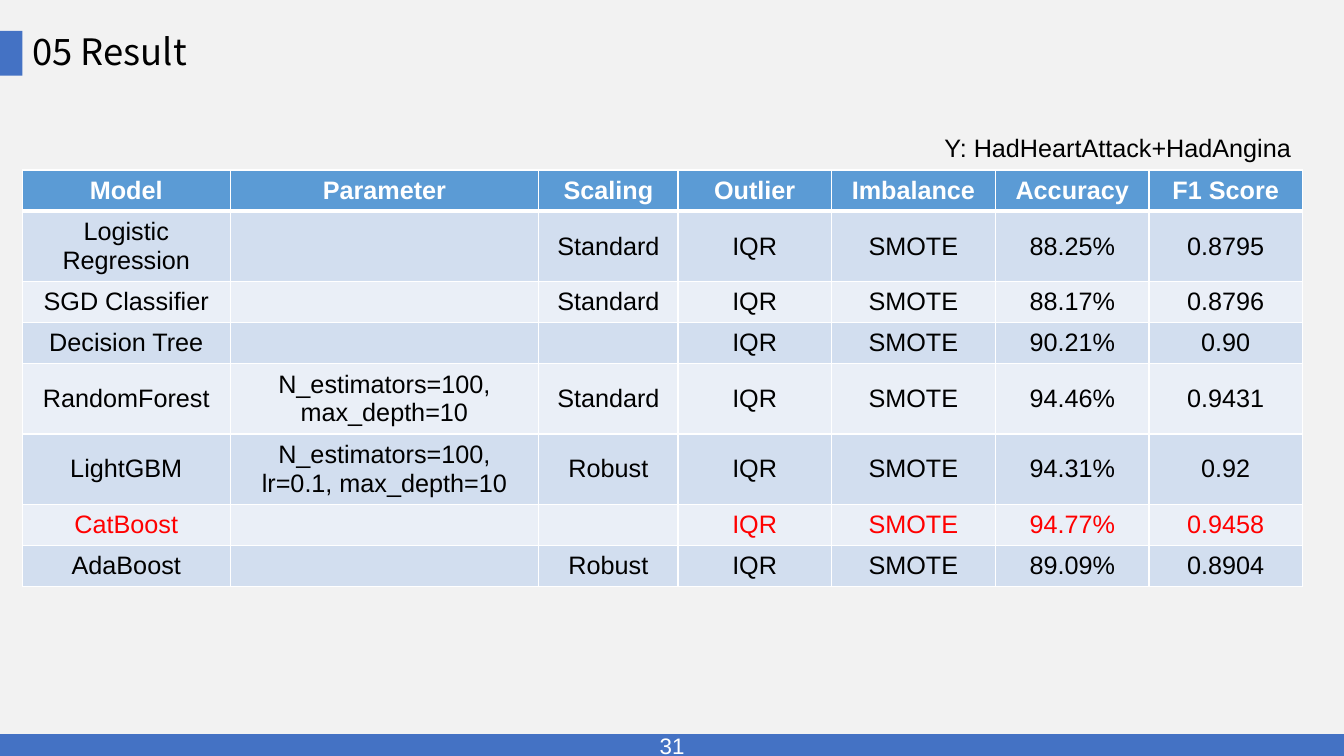
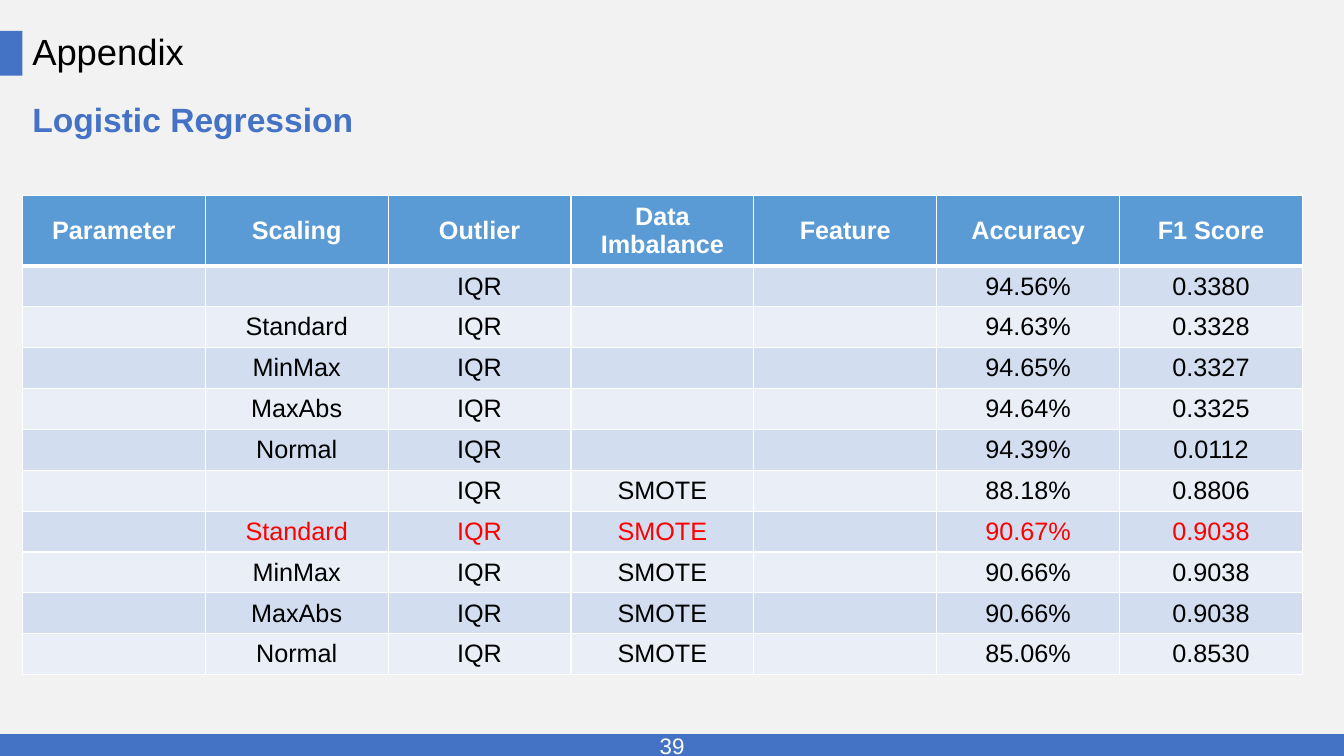
from dataclasses import dataclass

from lxml import etree
from pptx import Presentation
from pptx.dml.color import RGBColor
from pptx.enum import shapes, text
from pptx.oxml import ns
from pptx.util import Pt


@dataclass(frozen=True)
class Theme:
    page: str = "F2F2F2"
    accent: str = "4472C4"
    header: str = "5B9BD5"
    bands: tuple[str, str] = ("D2DEEF", "EAEFF7")
    white: str = "FFFFFF"
    black: str = "000000"
    highlight: str = "FF0000"
    font: str = "Arial"
    title_size: float = 26
    subtitle_size: float = 24
    body_size: float = 18
    footer_size: float = 16


@dataclass(frozen=True)
class Box:
    left: float
    top: float
    width: float
    height: float


@dataclass(frozen=True)
class Style:
    size: float
    color: str
    bold: bool = False
    font: str = "Arial"
    align: text.PP_ALIGN = text.PP_ALIGN.LEFT


@dataclass(frozen=True)
class ResultTable:
    top: float
    columns: tuple[float, ...]
    rows: tuple[tuple[str, ...], ...]
    best_row: int
    tall_rows: dict[int, float]


T = Theme()
SLIDE_W, SLIDE_H = 960, 540
MARGIN, CONTENT_W = 16, 914.4
ROW_H = 29.2
CENTER = text.PP_ALIGN.CENTER

MODEL_RESULTS = ResultTable(
    top=121.5,
    columns=(148.4, 220.4, 99.6, 109.4, 117.4, 109.6, 109.6),
    rows=(
        ("Model", "Parameter", "Scaling", "Outlier", "Imbalance", "Accuracy", "F1 Score"),
        ("Logistic Regression", "", "Standard", "IQR", "SMOTE", "88.25%", "0.8795"),
        ("SGD Classifier", "", "Standard", "IQR", "SMOTE", "88.17%", "0.8796"),
        ("Decision Tree", "", "", "IQR", "SMOTE", "90.21%", "0.90"),
        ("RandomForest", "N_estimators=100, max_depth=10", "Standard", "IQR", "SMOTE",
         "94.46%", "0.9431"),
        ("LightGBM", "N_estimators=100,\nlr=0.1, max_depth=10", "Robust", "IQR", "SMOTE",
         "94.31%", "0.92"),
        ("CatBoost", "", "", "IQR", "SMOTE", "94.77%", "0.9458"),
        ("AdaBoost", "", "Robust", "IQR", "SMOTE", "89.09%", "0.8904"),
    ),
    best_row=6,
    tall_rows={1: 47.5, 4: 47.5, 5: 47.5},
)

REGRESSION_RESULTS = ResultTable(
    top=139.5,
    columns=(CONTENT_W / 7,) * 7,
    rows=(
        ("Parameter", "Scaling", "Outlier", "Data Imbalance", "Feature", "Accuracy", "F1 Score"),
        ("", "", "IQR", "", "", "94.56%", "0.3380"),
        ("", "Standard", "IQR", "", "", "94.63%", "0.3328"),
        ("", "MinMax", "IQR", "", "", "94.65%", "0.3327"),
        ("", "MaxAbs", "IQR", "", "", "94.64%", "0.3325"),
        ("", "Normal", "IQR", "", "", "94.39%", "0.0112"),
        ("", "", "IQR", "SMOTE", "", "88.18%", "0.8806"),
        ("", "Standard", "IQR", "SMOTE", "", "90.67%", "0.9038"),
        ("", "MinMax", "IQR", "SMOTE", "", "90.66%", "0.9038"),
        ("", "MaxAbs", "IQR", "SMOTE", "", "90.66%", "0.9038"),
        ("", "Normal", "IQR", "SMOTE", "", "85.06%", "0.8530"),
    ),
    best_row=7,
    tall_rows={0: 50},
)


def rgb(color: str) -> RGBColor:
    return RGBColor.from_string(color)


def emu(box: Box) -> tuple[Pt, ...]:
    return Pt(box.left), Pt(box.top), Pt(box.width), Pt(box.height)


def write(tf, content: str, style: Style) -> None:
    tf.text = content
    for p in tf.paragraphs:
        p.alignment = style.align
        p.font.name = style.font
        p.font.size = Pt(style.size)
        p.font.bold = style.bold
        p.font.color.rgb = rgb(style.color)


def add_text(s, box: Box, content: str, style: Style):
    tf = s.shapes.add_textbox(*emu(box)).text_frame
    tf.word_wrap = True
    write(tf, content, style)
    return tf


def add_bar(s, box: Box):
    sp = s.shapes.add_shape(shapes.MSO_SHAPE.RECTANGLE, *emu(box))
    sp.shadow.inherit = False
    sp.fill.solid()
    sp.fill.fore_color.rgb = rgb(T.accent)
    sp.line.fill.background()
    return sp


def add_base_slide(prs, title: str, number: int, title_font: str = T.font):
    """Add a slide with the shared background, title, marker and numbered footer."""
    s = prs.slides.add_slide(prs.slide_layouts[6])
    s.background.fill.solid()
    s.background.fill.fore_color.rgb = rgb(T.page)

    footer = add_bar(s, Box(0, 525, SLIDE_W, 15))
    footer.line.color.rgb = rgb(T.accent)
    footer.line.width = Pt(1)
    footer.text_frame.vertical_anchor = text.MSO_ANCHOR.MIDDLE
    write(footer.text_frame, str(number), Style(T.footer_size, T.white, align=CENTER))

    add_bar(s, Box(0, 22, MARGIN, 32))
    tf = add_text(s, Box(MARGIN, 22, CONTENT_W, 32), title,
                  Style(T.title_size, T.black, font=title_font))
    tf.vertical_anchor = text.MSO_ANCHOR.MIDDLE
    tf.paragraphs[0].line_spacing = 0.9
    return s


def set_borders(cell, bottom: float) -> None:
    """Draw white 1 pt cell borders, with the given width at the bottom."""
    tc_pr = cell._tc.get_or_add_tcPr()
    for side, width in (("L", 1), ("R", 1), ("T", 1), ("B", bottom)):
        ln = etree.SubElement(tc_pr, ns.qn(f"a:ln{side}"), w=str(Pt(width)))
        fill = etree.SubElement(ln, ns.qn("a:solidFill"))
        etree.SubElement(fill, ns.qn("a:srgbClr"), val=T.white)


def add_results(s, results: ResultTable) -> None:
    n_rows = len(results.rows)
    box = Box(MARGIN, results.top, CONTENT_W, n_rows * ROW_H)
    table = s.shapes.add_table(n_rows, len(results.columns), *emu(box)).table
    for column, width in zip(table.columns, results.columns):
        column.width = Pt(width)
    for i, values in enumerate(results.rows):
        table.rows[i].height = Pt(results.tall_rows.get(i, ROW_H))
        is_header = i == 0
        fill = T.header if is_header else T.bands[(i - 1) % 2]
        color = T.white if is_header else T.highlight if i == results.best_row else T.black
        style = Style(T.body_size, color, bold=is_header, align=CENTER)
        for cell, value in zip(table.rows[i].cells, values):
            set_borders(cell, bottom=3 if is_header else 1)
            cell.fill.solid()
            cell.fill.fore_color.rgb = rgb(fill)
            cell.vertical_anchor = text.MSO_ANCHOR.MIDDLE
            write(cell.text_frame, value, style)


def main() -> None:
    prs = Presentation()
    prs.slide_width, prs.slide_height = Pt(SLIDE_W), Pt(SLIDE_H)

    s = add_base_slide(prs, "05 Result", 31, title_font="Noto Sans CJK KR")
    add_results(s, MODEL_RESULTS)
    add_text(s, Box(667.5, 91, 264, 29), "Y: HadHeartAttack+HadAngina",
             Style(T.body_size, T.black))

    s = add_base_slide(prs, "Appendix", 39)
    add_text(s, Box(MARGIN, 67, 864, 36), "Logistic Regression",
             Style(T.subtitle_size, T.accent, bold=True))
    add_results(s, REGRESSION_RESULTS)

    prs.save("out.pptx")


if __name__ == "__main__":
    main()
